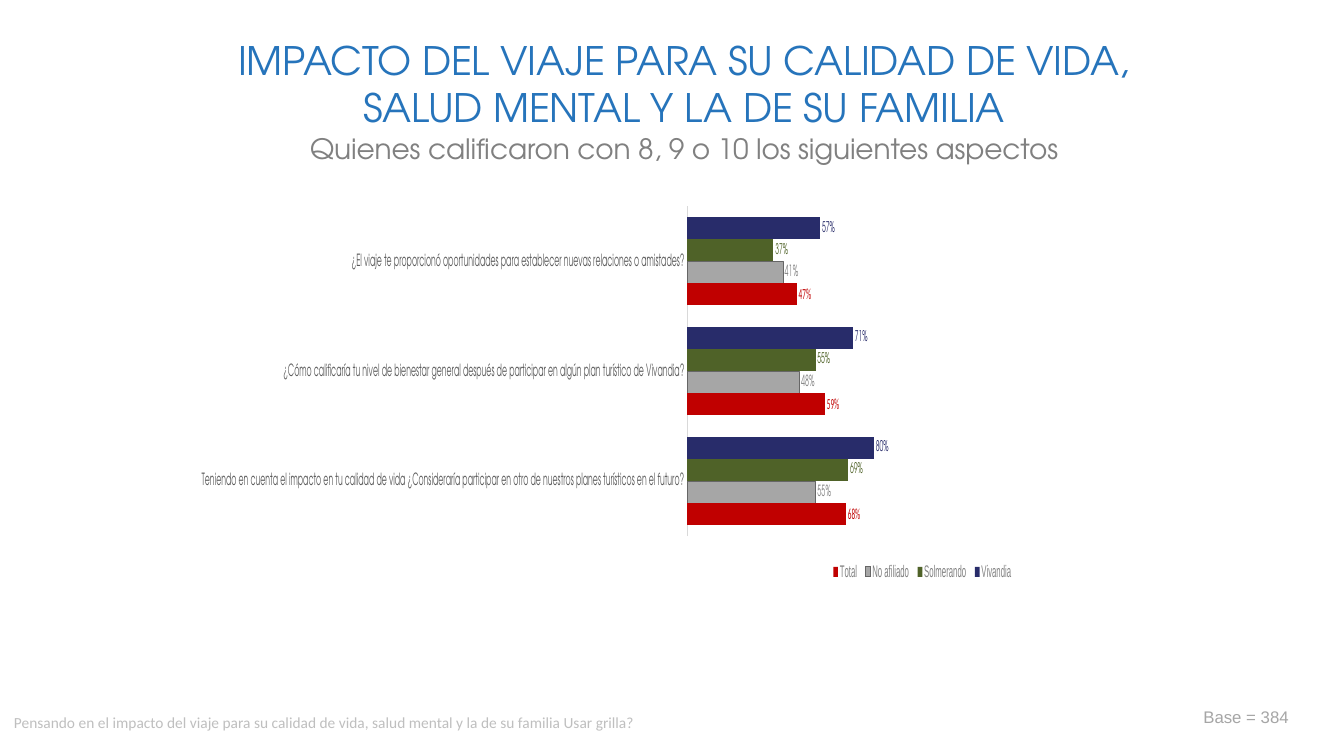
from dataclasses import dataclass

from lxml.etree import SubElement
from pptx import Presentation
from pptx.chart.data import CategoryChartData
from pptx.dml.color import RGBColor
from pptx.enum.chart import XL_CHART_TYPE as ChartType
from pptx.enum.chart import XL_LABEL_POSITION as LabelPos
from pptx.enum.chart import XL_LEGEND_POSITION as LegendPos
from pptx.enum.chart import XL_TICK_LABEL_POSITION as TickLabelPos
from pptx.enum.chart import XL_TICK_MARK as TickMark
from pptx.enum.text import MSO_ANCHOR as Anchor
from pptx.enum.text import MSO_AUTO_SIZE as AutoSize
from pptx.enum.text import PP_ALIGN as Align
from pptx.oxml.ns import qn
from pptx.util import Pt

COLORS = {
    "white": "FFFFFF", "black": "000000", "title": "2674BB",
    "subtitle": "808080", "note": "BFBFBF", "base": "A6A6A6",
    "axis_text": "595959", "axis_line": "D9D9D9", "navy": "282C6A",
    "green": "4F6228", "gray": "A6A6A6", "outline": "666666", "red": "C00000",
}
DISPLAY, BODY, PLAIN = "TeX Gyre Adventor", "Calibri", "Arial"


@dataclass(frozen=True)
class Box:
    left: float
    top: float
    width: float
    height: float


@dataclass(frozen=True)
class Style:
    size: float
    font: str
    color: str


@dataclass(frozen=True)
class Line:
    text: str
    style: Style


@dataclass(frozen=True)
class Note:
    box: Box
    line: Line
    wrap: bool


@dataclass(frozen=True)
class Group:
    name: str
    values: tuple[float, ...]
    fill: str
    label: Style
    outline: str | None = None


TITLE_BOX = Box(124.56, 25.2, 727.92, 94.32)
TITLE_LINES = (
    Line("IMPACTO DEL VIAJE PARA SU CALIDAD DE VIDA, SALUD MENTAL Y LA DE SU FAMILIA",
         Style(28, DISPLAY, "title")),
    Line("Quienes calificaron con 8, 9 o 10 los siguientes aspectos",
         Style(20, DISPLAY, "subtitle")),
)
NOTES = (
    Note(Box(2.88, 506.16, 832.32, 33.84),
         Line("Pensando en el impacto del viaje para su calidad de vida, "
              "salud mental y la de su familia Usar grilla?",
              Style(11, BODY, "note")), True),
    Note(Box(852.48, 501.12, 76.32, 21.6),
         Line("Base = 384", Style(12, PLAIN, "base")), False),
)
CHART_BOX = Box(144, 125.28, 635.76, 341.28)
QUESTIONS = (
    "¿El viaje te proporcionó oportunidades para establecer nuevas relaciones o amistades?",
    "¿Cómo calificaría tu nivel de bienestar general después de participar "
    "en algún plan turístico de Vivandia?",
    "Teniendo en cuenta el impacto en tu calidad de vida ¿Consideraría participar "
    "en otro de nuestros planes turísticos en el futuro?",
)
GROUPS = (
    Group("Vivandia", (0.57, 0.71, 0.8), "navy", Style(10.5, DISPLAY, "navy")),
    Group("Solmerando", (0.37, 0.55, 0.69), "green", Style(10.5, DISPLAY, "green")),
    Group("No afiliado", (0.41, 0.48, 0.55), "gray", Style(11, DISPLAY, "subtitle"), "outline"),
    Group("Total", (0.47, 0.59, 0.68), "red", Style(11, BODY, "red")),
)


def rgb(name: str) -> RGBColor:
    return RGBColor.from_string(COLORS[name])


def set_font(font, style: Style) -> None:
    font.size, font.name, font.bold = Pt(style.size), style.font, False
    font.color.rgb = rgb(style.color)


def add_run(p, line: Line):
    r = p.add_run()
    r.text = line.text
    set_font(r.font, line.style)
    return r


def place(sp, box: Box) -> None:
    sp.left, sp.top = Pt(box.left), Pt(box.top)
    sp.width, sp.height = Pt(box.width), Pt(box.height)


def fill_title(sp) -> None:
    place(sp, TITLE_BOX)
    tf = sp.text_frame
    tf.word_wrap, tf.auto_size = True, AutoSize.SHAPE_TO_FIT_TEXT
    tf.vertical_anchor = Anchor.TOP
    tf.margin_left = tf.margin_right = tf.margin_bottom = Pt(0)
    tf.margin_top = Pt(0.72)
    for i, line in enumerate(TITLE_LINES):
        p = tf.add_paragraph() if i else tf.paragraphs[0]
        p.alignment, p.space_before = Align.CENTER, Pt(1)
        r = add_run(p, line)
        r.font._element.set("spc", "-10")


def add_note(slide, note: Note) -> None:
    b = note.box
    sp = slide.shapes.add_textbox(Pt(b.left), Pt(b.top), Pt(b.width), Pt(b.height))
    tf = sp.text_frame
    tf.word_wrap, tf.auto_size = note.wrap, AutoSize.SHAPE_TO_FIT_TEXT
    add_run(tf.paragraphs[0], note.line)


def set_layout(element, before: str, inner: bool = False, **fractions: float) -> None:
    """Place a chart part by fractions of the chart, ahead of the child named before."""
    for old in element.findall(qn("c:layout")):
        element.remove(old)
    layout = SubElement(element, qn("c:layout"))
    element.find(qn(before)).addprevious(layout)
    manual = SubElement(layout, qn("c:manualLayout"))
    settings = {"layoutTarget": "inner"} if inner else {}
    settings |= {"xMode": "edge", "yMode": "edge"} | fractions
    for tag, value in settings.items():
        SubElement(manual, qn(f"c:{tag}")).set("val", str(value))


def format_series(series, group: Group) -> None:
    series.format.fill.solid()
    series.format.fill.fore_color.rgb = rgb(group.fill)
    if group.outline:
        series.format.line.color.rgb = rgb(group.outline)
        series.format.line.width = Pt(0.75)
    else:
        series.format.line.fill.background()
    labels = series.data_labels
    labels.show_value, labels.position = True, LabelPos.OUTSIDE_END
    labels.number_format, labels.number_format_is_linked = "0%", False
    set_font(labels.font, group.label)


def format_axes(chart) -> None:
    cat, val = chart.category_axis, chart.value_axis
    for axis, font in ((cat, DISPLAY), (val, BODY)):
        axis.major_tick_mark = axis.minor_tick_mark = TickMark.NONE
        axis.has_major_gridlines = False
        set_font(axis.tick_labels.font, Style(12, font, "axis_text"))
    cat.reverse_order = True
    cat.format.line.color.rgb = rgb("axis_line")
    cat.format.line.width = Pt(0.75)
    val.minimum_scale, val.maximum_scale = 0, 0.9
    val.tick_label_position = TickLabelPos.NONE
    val.format.line.fill.background()


def add_bars(slide) -> None:
    data = CategoryChartData(number_format="0%")
    data.categories = QUESTIONS
    for group in GROUPS:
        data.add_series(group.name, group.values)
    b = CHART_BOX
    chart = slide.shapes.add_chart(ChartType.BAR_CLUSTERED, Pt(b.left), Pt(b.top),
                                   Pt(b.width), Pt(b.height), data).chart
    chart.has_title = False
    set_font(chart.font, Style(10, BODY, "black"))
    plot = chart.plots[0]
    plot.gap_width, plot.overlap, plot.vary_by_categories = 100, 0, False
    for series, group in zip(plot.series, GROUPS):
        format_series(series, group)
    format_axes(chart)
    chart.has_legend = True
    legend = chart.legend
    legend.position, legend.include_in_layout = LegendPos.BOTTOM, False
    set_font(legend.font, Style(12, PLAIN, "subtitle"))
    set_layout(legend._element, "c:overlay", x=0.36, y=0.8, w=0.46, h=0.06)
    set_layout(chart._chartSpace.chart.plotArea, "c:barChart", inner=True,
               x=0.02, y=0.065, w=0.51, h=0.69)


def main() -> None:
    prs = Presentation()
    prs.slide_width, prs.slide_height = Pt(960), Pt(540)
    slide = prs.slides.add_slide(prs.slide_layouts[5])
    slide.background.fill.solid()
    slide.background.fill.fore_color.rgb = rgb("white")
    fill_title(slide.shapes.title)
    add_bars(slide)
    for note in NOTES:
        add_note(slide, note)
    prs.save("out.pptx")


if __name__ == "__main__":
    main()
